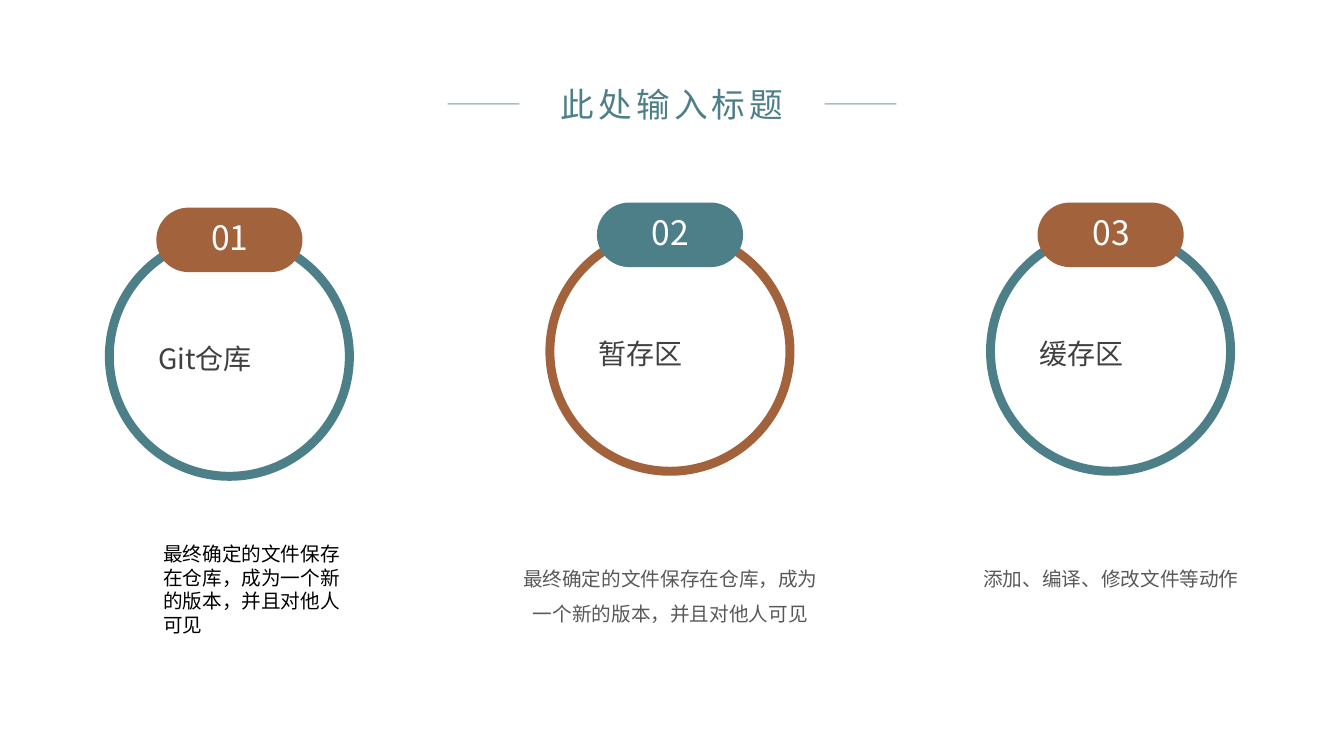
from lxml.etree import SubElement
from pptx import Presentation
from pptx.dml.color import RGBColor
from pptx.enum.shapes import MSO_CONNECTOR, MSO_SHAPE
from pptx.enum.text import MSO_ANCHOR, MSO_AUTO_SIZE, PP_ALIGN
from pptx.oxml.ns import qn
from pptx.util import Inches, Pt

FONT = "Noto Sans CJK SC"
TEAL, RUST = "4D7F89", "A2633C"


def color(hex_value):
    return RGBColor.from_string(hex_value)


def write(box, text, size, hex_value, align, wrap=True, spacing=1):
    frame = box.text_frame
    frame.text = text
    frame.word_wrap = wrap
    frame.auto_size = MSO_AUTO_SIZE.NONE
    frame.vertical_anchor = MSO_ANCHOR.TOP
    paragraph = frame.paragraphs[0]
    paragraph.alignment = align
    paragraph.line_spacing = spacing
    paragraph.font.size = Pt(size)
    paragraph.font.name = FONT
    paragraph.font.color.rgb = color(hex_value)
    defaults = paragraph._p.pPr.find(qn("a:defRPr"))
    SubElement(defaults, qn("a:ea"), typeface=FONT)
    return defaults


presentation = Presentation()
presentation.slide_width = Inches(13.33)
presentation.slide_height = Inches(7.5)
slide = presentation.slides.add_slide(presentation.slide_layouts[5])
shapes = slide.shapes

title = shapes.title
title.left, title.top, title.width, title.height = map(Inches, (5.19, 0.78, 2.95, 0.5))
write(title, "此处输入标题", 24, TEAL, PP_ALIGN.CENTER).set("spc", "300")

for rule_left in (4.44, 8.18):
    rule = shapes.add_connector(
        MSO_CONNECTOR.STRAIGHT,
        Inches(rule_left), Inches(1.03), Inches(rule_left + 0.71), Inches(1.03),
    )
    rule.line.color.rgb = color(TEAL)
    rule.line.width = Pt(1)
    tint = rule.line._ln.find(qn("a:solidFill")).find(qn("a:srgbClr"))
    SubElement(tint, qn("a:alpha"), val="50000")
    SubElement(rule._element.spPr, qn("a:effectLst"))

COMMIT = "最终确定的文件保存在仓库\uff0c成为一个新的版本\uff0c并且对他人可见"
FIRST_LEFT, PITCH = 1.04, 4.37
areas = [
    ("Git仓库", COMMIT, TEAL, RUST, 2.3),
    ("暂存区", COMMIT, RUST, TEAL, 2.25),
    ("缓存区", "添加、编译、修改文件等动作", TEAL, RUST, 2.25),
]

for index, (area, description, ring_color, badge_color, top) in enumerate(areas):
    left = FIRST_LEFT + index * PITCH
    ring = shapes.add_shape(
        MSO_SHAPE.DONUT, Inches(left), Inches(top), Inches(2.47), Inches(2.47)
    )
    badge = shapes.add_shape(
        MSO_SHAPE.ROUNDED_RECTANGLE,
        Inches(left + 0.51), Inches(top - 0.24), Inches(1.45), Inches(0.64),
    )
    for part, adjustment, fill in ((ring, 0.036, ring_color), (badge, 0.5, badge_color)):
        part.adjustments[0] = adjustment
        part.fill.solid()
        part.fill.fore_color.rgb = color(fill)
        part.line.fill.background()
        part.shadow.inherit = False

    number = shapes.add_textbox(
        Inches(left + 0.95), Inches(top - 0.2), Inches(0.58), Inches(0.5)
    )
    write(number, f"{index + 1:02}", 24, "FFFFFF", PP_ALIGN.CENTER, wrap=False)
    label = shapes.add_textbox(
        Inches(left + 0.43), Inches(top + 1.04), Inches(1.64), Inches(0.44)
    )
    write(label, area, 20, "404040", PP_ALIGN.JUSTIFY)

    if index == 0:
        detail = shapes.add_textbox(
            Inches(left + 0.48), Inches(5.33), Inches(2.14), Inches(1.04)
        )
        write(detail, description, 14, "000000", PP_ALIGN.LEFT)
    else:
        detail = shapes.add_textbox(
            Inches(left - 0.38), Inches(5.46), Inches(3.24), Inches(0.81)
        )
        write(detail, description, 14, "595959", PP_ALIGN.CENTER, spacing=1.5)

presentation.save("out.pptx")
